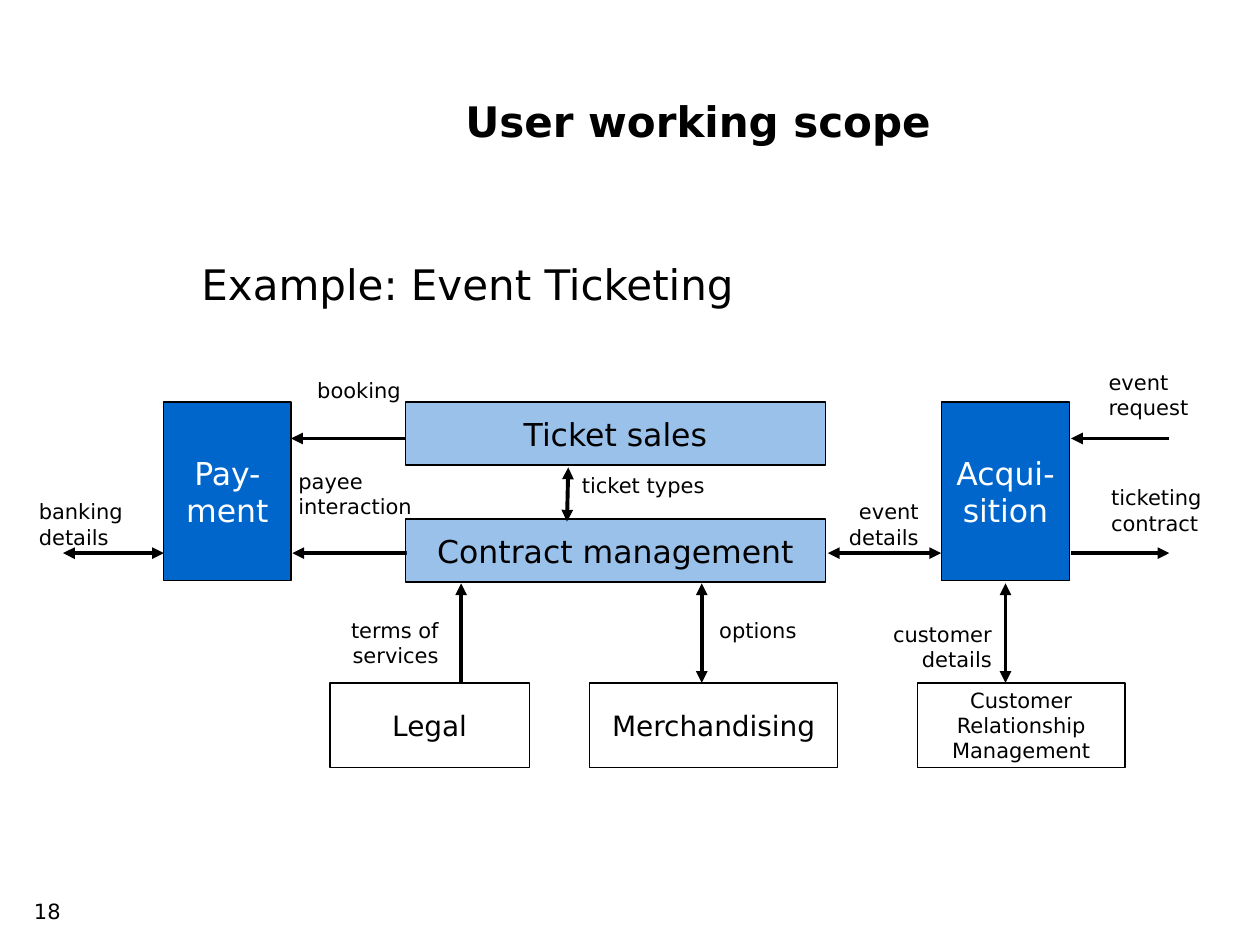
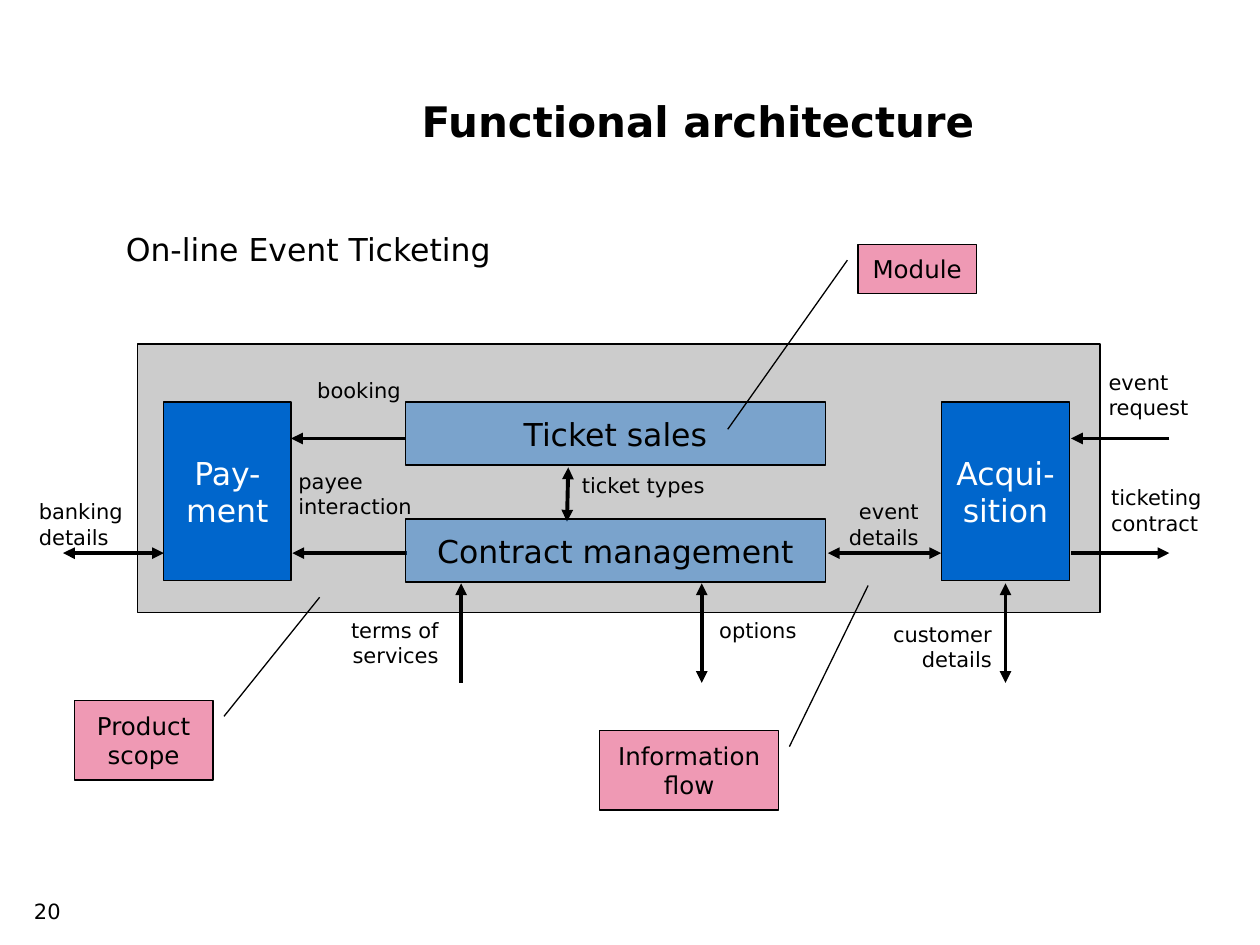
from lxml.etree import SubElement
from pptx import Presentation
from pptx.dml.color import RGBColor
from pptx.enum.shapes import MSO_CONNECTOR, MSO_SHAPE
from pptx.enum.text import MSO_ANCHOR, PP_ALIGN
from pptx.oxml.ns import qn
from pptx.util import Inches, Pt

FONT = "DejaVu Sans"
BLACK = RGBColor(0x00, 0x00, 0x00)
WHITE = RGBColor(0xFF, 0xFF, 0xFF)
BLUE = RGBColor(0x00, 0x66, 0xCC)
GREY = RGBColor(0xCC, 0xCC, 0xCC)
PINK = RGBColor(0xD7, 0x00, 0x44)

LEFT, CENTER, RIGHT = PP_ALIGN.LEFT, PP_ALIGN.CENTER, PP_ALIGN.RIGHT
TOP, MIDDLE = MSO_ANCHOR.TOP, MSO_ANCHOR.MIDDLE


def add_text(shapes, text, box, size=12, color=BLACK, bold=False, align=LEFT, anchor=TOP, wrap=True):
    shape = shapes.add_textbox(*map(Inches, box))
    write_text = shape.text_frame
    write_text.word_wrap = wrap
    write_text.vertical_anchor = anchor
    paragraph = write_text.paragraphs[0]
    paragraph.alignment = align
    run = paragraph.add_run()
    run.text = text
    run.font.name = FONT
    run.font.size = Pt(size)
    run.font.bold = bold
    run.font.color.rgb = color
    return shape


def add_box(shapes, box, fill, opacity=100, geometry=MSO_SHAPE.RECTANGLE, text="", size=18, color=BLACK):
    shape = shapes.add_shape(geometry, *map(Inches, box))
    shape.shadow.inherit = False
    shape.fill.solid()
    shape.fill.fore_color.rgb = fill
    if opacity < 100:
        fill_color = shape.fill._xPr.find(qn("a:solidFill"))[0]
        SubElement(fill_color, qn("a:alpha")).set("val", str(opacity * 1000))
    shape.line.color.rgb = BLACK
    shape.line.width = Pt(0.75)
    frame = shape.text_frame
    frame.word_wrap = True
    frame.vertical_anchor = MIDDLE
    paragraph = frame.paragraphs[0]
    paragraph.alignment = CENTER
    if text:
        run = paragraph.add_run()
        run.text = text
        run.font.name = FONT
        run.font.size = Pt(size)
        run.font.color.rgb = color
    return shape


TITLE_BOX = (1.5, 0.33, 8.08, 1.25)
NUMBER_BOX = (0, 7.08, 0.58, 0.42)

PARTNERS = [
    ("Legal", 2.62, 1.58, 16),
    ("Merchandising", 4.68, 1.97, 16),
    ("Customer Relationship Management", 7.28, 1.65, 12),
]

FLOW_LABELS = [
    ("ticketing contract", (8.72, 3.8, 1.17, 0.51), LEFT),
    ("event request", (8.7, 2.88, 1.17, 0.51), LEFT),
    ("booking", (2.26, 2.95, 1.18, 0.3), CENTER),
    ("ticket types", (4.52, 3.7, 1.58, 0.3), LEFT),
    ("banking details", (0.21, 3.91, 1, 0.51), LEFT),
    ("payee interaction", (2.27, 3.67, 1.17, 0.51), LEFT),
    ("options", (5.61, 4.85, 1.75, 0.3), LEFT),
    ("terms of services", (2.5, 4.85, 1.08, 0.51), RIGHT),
    ("customer details", (6.89, 4.88, 1.08, 0.51), RIGHT),
    ("event details", (6.31, 3.91, 1.08, 0.51), RIGHT),
]

UPPER, LOWER = 3.48, 4.39
MODULE_EDGE, PARTNER_EDGE = 4.63, 5.42
ONE_WAY = ("a:tailEnd",)
TWO_WAY = ("a:headEnd", "a:tailEnd")
FLOWS = [
    ((0.5, LOWER, 1.3, LOWER), TWO_WAY),
    ((3.22, UPPER, 2.31, UPPER), ONE_WAY),
    ((4.51, 3.71, 4.5, 4.14), TWO_WAY),
    ((9.28, UPPER, 8.5, UPPER), ONE_WAY),
    ((8.5, LOWER, 9.28, LOWER), ONE_WAY),
    ((7.98, MODULE_EDGE, 7.98, PARTNER_EDGE), TWO_WAY),
    ((5.57, MODULE_EDGE, 5.57, PARTNER_EDGE), TWO_WAY),
    ((3.66, PARTNER_EDGE, 3.66, MODULE_EDGE), ONE_WAY),
    ((3.23, LOWER, 2.32, LOWER), ONE_WAY),
    ((6.57, LOWER, 7.47, LOWER), TWO_WAY),
]

MODULES = [
    ("Contract management", (3.22, 4.12, 3.33, 0.5), 40, BLACK),
    ("Ticket sales", (3.22, 3.19, 3.33, 0.5), 40, BLACK),
    ("Pay- ment", (1.3, 3.19, 1.01, 1.42), 100, WHITE),
    ("Acqui- sition", (7.47, 3.19, 1.02, 1.42), 100, WHITE),
]

CALLOUTS = [
    ("Product scope", (0.59, 5.56, 1.1, 0.63), (0.2, 1.08, -1.3, 1.77)),
    ("Module", (6.81, 1.94, 0.94, 0.39), (0.32, -0.09, 3.76, -1.1)),
    ("Information flow", (4.76, 5.8, 1.42, 0.63), (0.2, 1.06, -1.83, 1.5)),
]

presentation = Presentation()
presentation.slide_width = Inches(10)
presentation.slide_height = Inches(7.5)
blank_layout = presentation.slide_layouts[6]

scope_slide = presentation.slides.add_slide(blank_layout)
architecture_slide = presentation.slides.add_slide(blank_layout)

for slide, number, title in [
    (scope_slide, "18", "User working scope"),
    (architecture_slide, "20", "Functional architecture"),
]:
    add_text(slide.shapes, number, NUMBER_BOX, align=RIGHT)
    add_text(slide.shapes, title, TITLE_BOX, size=24, bold=True, align=CENTER, anchor=MIDDLE)

add_text(scope_slide.shapes, "Example: Event Ticketing", (1.5, 2, 8.08, 4.33), size=24)
for name, left, width, size in PARTNERS:
    add_box(scope_slide.shapes, (left, PARTNER_EDGE, width, 0.67), WHITE, opacity=40, text=name, size=size)

add_text(architecture_slide.shapes, "On-line Event Ticketing", (0.9, 1.78, 3.16, 0.4), size=18, wrap=False)
product_group = architecture_slide.shapes.add_group_shape()
add_box(product_group.shapes, (1.09, 2.73, 7.64, 2.13), GREY)

for shapes in (scope_slide.shapes, product_group.shapes):
    for label, box, align in FLOW_LABELS:
        add_text(shapes, label, box, align=align)
    for ends, arrowheads in FLOWS:
        arrow = shapes.add_connector(MSO_CONNECTOR.STRAIGHT, *map(Inches, ends))
        arrow.line.color.rgb = BLACK
        arrow.line.width = Pt(2.25)
        for arrowhead in arrowheads:
            SubElement(arrow.line._get_or_add_ln(), qn(arrowhead)).set("type", "triangle")
        SubElement(arrow._element.spPr, qn("a:effectLst"))
    for name, box, opacity, color in MODULES:
        add_box(shapes, box, BLUE, opacity=opacity, text=name, color=color)

for name, box, pointer in CALLOUTS:
    callout = add_box(
        architecture_slide.shapes, box, PINK, opacity=40,
        geometry=MSO_SHAPE.LINE_CALLOUT_1, text=name, size=14,
    )
    for index, value in enumerate(pointer):
        callout.adjustments[index] = value

presentation.save("out.pptx")
